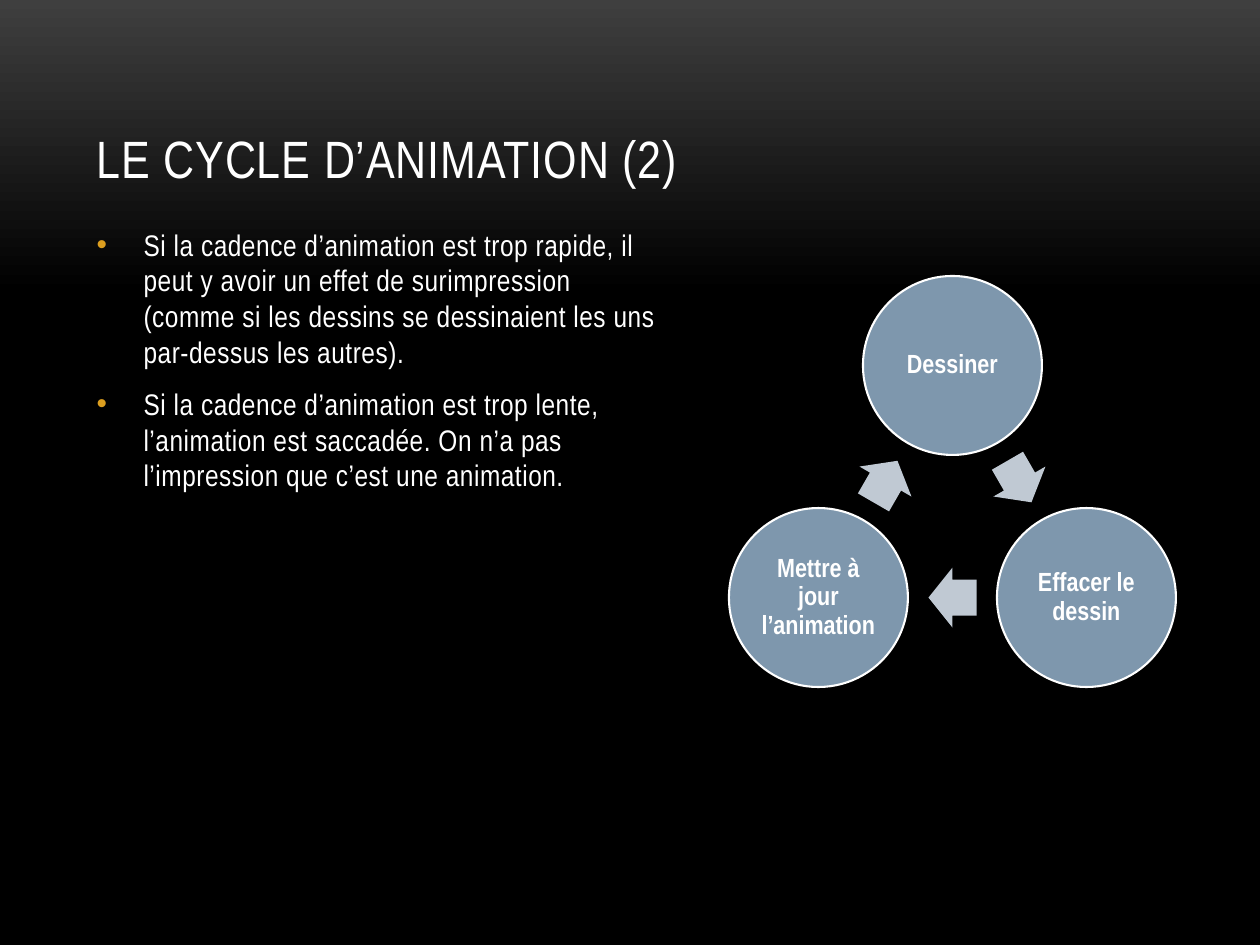
from math import cos, radians, sin

from lxml.etree import SubElement
from pptx import Presentation
from pptx.dml.color import RGBColor
from pptx.enum.shapes import MSO_SHAPE
from pptx.enum.text import MSO_ANCHOR, MSO_AUTO_SIZE, PP_ALIGN
from pptx.oxml.ns import qn
from pptx.util import Emu, Pt

PX = 914400 // 126
FONT = "Arial Narrow"
WHITE = RGBColor(0xFF, 0xFF, 0xFF)
BLACK = RGBColor(0x00, 0x00, 0x00)
GREY = RGBColor(0x3F, 0x3F, 0x3F)
BLUE = RGBColor(0x7E, 0x97, 0xAD)
PALE = RGBColor(0xC0, 0xC9, 0xD3)
GOLD = RGBColor(0xDC, 0x9E, 0x1F)

TITLE = "LE CYCLE D’ANIMATION (2)"
POINTS = [
    "Si la cadence d’animation est trop rapide, il peut y avoir un effet de "
    "surimpression (comme si les dessins se dessinaient les uns par-dessus "
    "les autres).",
    "Si la cadence d’animation est trop lente, l’animation est saccadée. "
    "On n’a pas l’impression que c’est une animation.",
]
STEPS = ["Dessiner", "Effacer le dessin", "Mettre à jour l’animation"]


def px(n):
    return Emu(round(n * PX))


def place(shape, box):
    shape.left, shape.top, shape.width, shape.height = map(px, box)


def write(tf, lines, size, bold=False, align=PP_ALIGN.LEFT,
          anchor=MSO_ANCHOR.TOP, inset=None, spacing=0, leading=None, after=0):
    tf.word_wrap = True
    tf.auto_size = MSO_AUTO_SIZE.NONE
    tf.vertical_anchor = anchor
    if inset is not None:
        tf.margin_left = tf.margin_right = px(inset)
        tf.margin_top = tf.margin_bottom = px(inset)
    for i, line in enumerate(lines):
        p = tf.paragraphs[0] if i == 0 else tf.add_paragraph()
        p.alignment = align
        p.space_after = Pt(after)
        if leading:
            p.line_spacing = leading
        r = p.add_run()
        r.text = line
        r.font.name, r.font.size, r.font.bold = FONT, Pt(size), bold
        r.font.color.rgb = WHITE
        if spacing:
            r.font._element.set("spc", str(spacing))


def add_bullet(p, color, indent):
    pPr = p._p.get_or_add_pPr()
    pPr.set("marL", str(px(indent)))
    pPr.set("indent", str(-px(indent)))
    clr = SubElement(pPr, qn("a:buClr"))
    SubElement(clr, qn("a:srgbClr")).set("val", str(color))
    SubElement(pPr, qn("a:buFont")).set("typeface", "Arial")
    SubElement(pPr, qn("a:buChar")).set("char", "•")


def set_background(s):
    fill = s.background.fill
    fill.gradient()
    fill.gradient_angle = 270
    for stop, color, pos in zip(fill.gradient_stops, (GREY, BLACK), (0, 0.31)):
        stop.color.rgb, stop.position = color, pos


def add_title(s, box):
    place(s.shapes.title, box)
    write(s.shapes.title.text_frame, [TITLE], 30,
          anchor=MSO_ANCHOR.BOTTOM, spacing=50)


def add_points(s, box):
    body = s.placeholders[1]
    place(body, box)
    write(body.text_frame, POINTS, 17, spacing=30, after=6)
    for p in body.text_frame.paragraphs:
        add_bullet(p, GOLD, 47)


def add_part(s, kind, cx, cy, w, h, color):
    sp = s.shapes.add_shape(kind, px(cx - w / 2), px(cy - h / 2), px(w), px(h))
    sp.shadow.inherit = False
    sp.fill.solid()
    sp.fill.fore_color.rgb = color
    sp.line.fill.background()
    return sp


def add_cycle(s, box):
    """Circles at the corners of a triangle, arrows midway along its sides."""
    left, top, width, _ = box
    size = 179
    radius = (width - size) / (2 * cos(radians(30)))
    cx, cy = left + width / 2, top + size / 2 + radius
    turn = 360 / len(STEPS)

    for i, step in enumerate(STEPS):
        # Step circle
        a = radians(i * turn - 90)
        sp = add_part(s, MSO_SHAPE.OVAL, cx + radius * cos(a),
                      cy + radius * sin(a), size, size, BLUE)
        sp.line.color.rgb, sp.line.width = WHITE, Pt(1.2)
        write(sp.text_frame, [step], 15, bold=True, align=PP_ALIGN.CENTER,
              anchor=MSO_ANCHOR.MIDDLE, inset=2, leading=0.9)

        # Arrow to the next step
        a += radians(turn / 2)
        arrow = add_part(s, MSO_SHAPE.RIGHT_ARROW, cx + radius / 2 * cos(a),
                         cy + radius / 2 * sin(a), 48, 60, PALE)
        arrow.adjustments[0], arrow.adjustments[1] = 0.6, 0.5
        arrow.rotation = (i + 0.5) * turn


def main():
    prs = Presentation()
    prs.slide_width, prs.slide_height = px(1260), px(945)
    s = prs.slides.add_slide(prs.slide_layouts[1])
    set_background(s)
    add_title(s, (84, 38, 1092, 157))
    add_points(s, (84, 220, 596, 567))
    add_cycle(s, (729, 276, 447, 411))
    prs.save("out.pptx")


if __name__ == "__main__":
    main()
